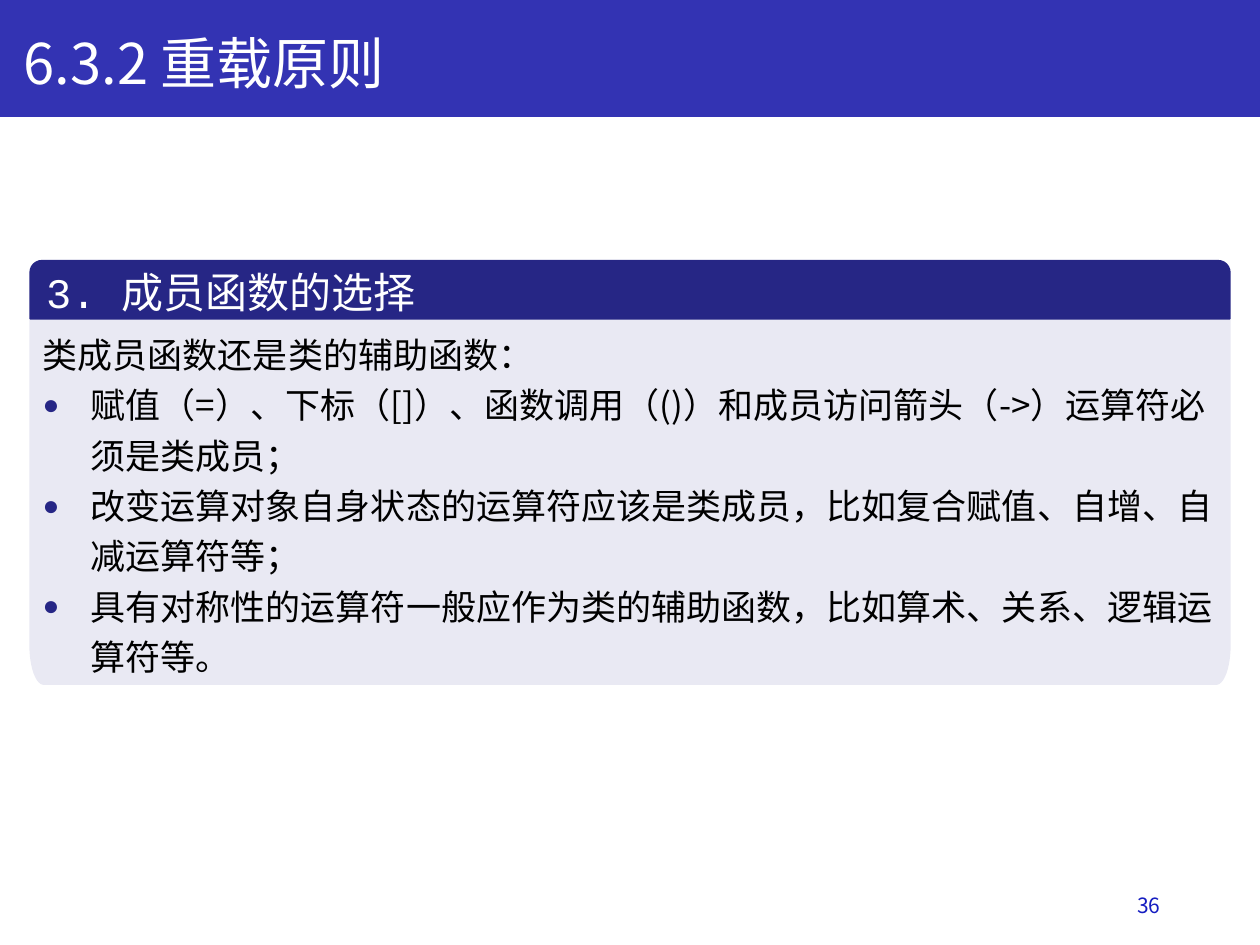
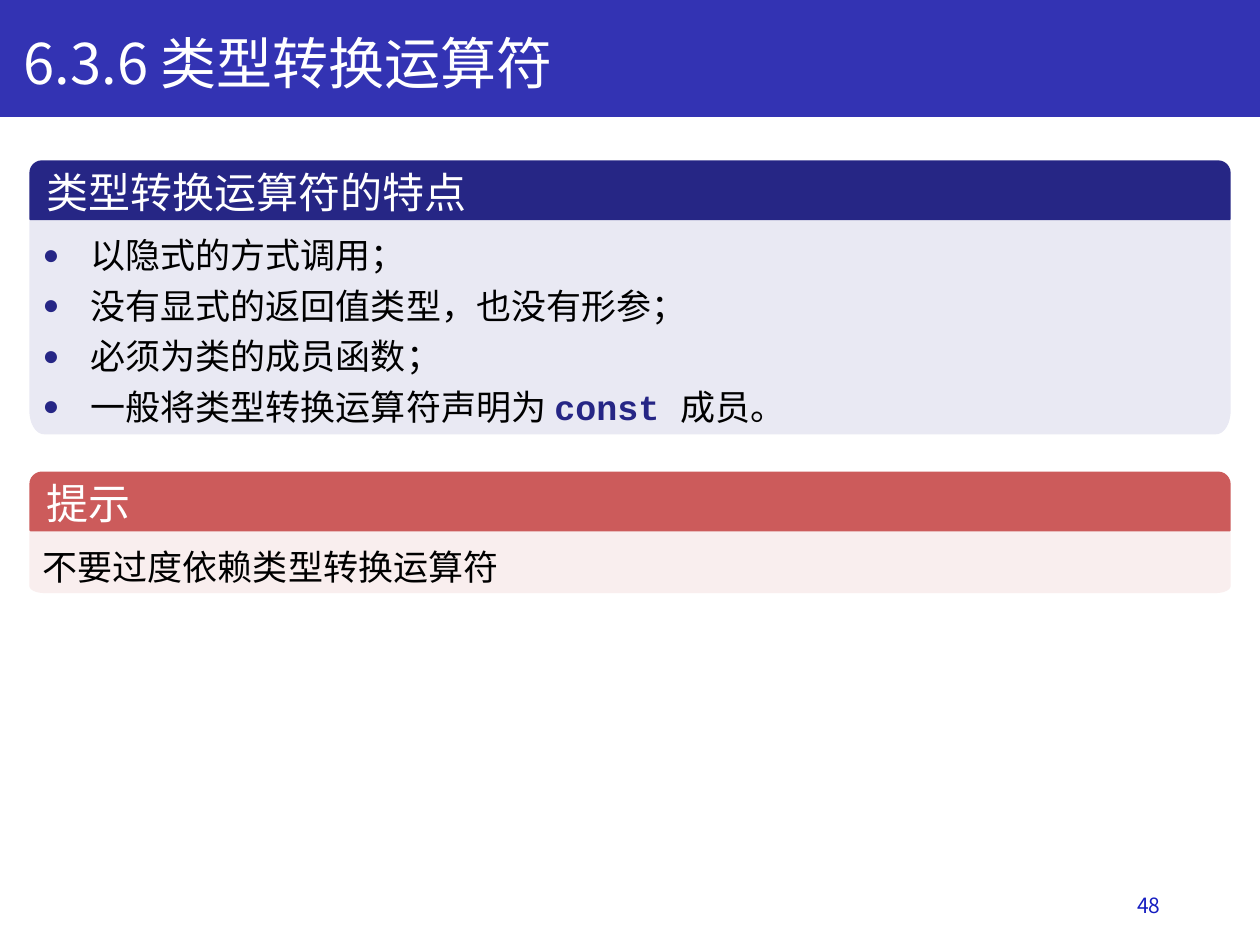
"""Build two lecture slides on operator overloading."""
from math import cos, pi, sin

from lxml import etree
from pptx import Presentation
from pptx.dml.color import RGBColor
from pptx.enum.shapes import MSO_SHAPE
from pptx.enum.text import MSO_ANCHOR, PP_ALIGN
from pptx.oxml.ns import qn
from pptx.util import Inches, Pt

RECT, ROUND = MSO_SHAPE.RECTANGLE, MSO_SHAPE.ROUND_2_SAME_RECTANGLE
TOP, MIDDLE = MSO_ANCHOR.TOP, MSO_ANCHOR.MIDDLE
LEFT, RIGHT = PP_ALIGN.LEFT, PP_ALIGN.RIGHT
SANS, MONO = "Noto Sans CJK SC", "Courier New"
COLORS = {
    "band": "3333B3", "page": "151DC1", "white": "FFFFFF", "black": "000000",
    "navy": "262685", "mist": "E9E9F3", "red": "CC5B5B", "blush": "F9EEEE",
}
STYLES = {
    "title": (32, SANS, "white", False),
    "page": (12, SANS, "page", False),
    "head": (24, MONO, "white", False),
    "body": (20, SANS, "black", False),
    "code": (20, MONO, "navy", True),
}
BLOCKS = {"note": ("navy", "mist"), "tip": ("red", "blush")}

SLIDES = [
    {"title": "6.3.2 重载原则", "page": "36", "blocks": [
        {"kind": "note", "top": 2.07, "height": 2.9, "head": "3. 成员函数的选择",
         "lead": "类成员函数还是类的辅助函数：",
         "items": [
             [("赋值（=）、下标（[]）、函数调用（()）和成员访问箭头（->）运算符必须是类成员；", "body")],
             [("改变运算对象自身状态的运算符应该是类成员，比如复合赋值、自增、自减运算符等；", "body")],
             [("具有对称性的运算符一般应作为类的辅助函数，比如算术、关系、逻辑运算符等。", "body")],
         ]},
    ]},
    {"title": "6.3.6 类型转换运算符", "page": "48", "blocks": [
        {"kind": "note", "top": 1.28, "height": 1.7, "head": "类型转换运算符的特点",
         "items": [
             [("以隐式的方式调用；", "body")],
             [("没有显式的返回值类型，也没有形参；", "body")],
             [("必须为类的成员函数；", "body")],
             [("一般将类型转换运算符声明为 ", "body"), ("const ", "code"), ("成员。", "body")],
         ]},
        {"kind": "tip", "top": 3.75, "height": 0.49, "head": "提示",
         "lead": "不要过度依赖类型转换运算符", "items": []},
    ]},
]

EDGE, WIDE, HEAD = 0.24, 9.52, 0.46
CURVE_X, CURVE_Y, STEPS = 0.11, 0.106, 12


def tint(name):
    return RGBColor.from_string(COLORS[name])


def paint(shape, name):
    shape.shadow.inherit = False
    shape.fill.solid()
    shape.fill.fore_color.rgb = tint(name)
    shape.line.color.rgb = tint(name)
    shape.line.width = Pt(1)


def write(para, text, style):
    size, face, color, bold = STYLES[style]
    run = para.add_run()
    run.text = text
    font = run.font
    font.size, font.name, font.bold = Pt(size), face, bold
    font.color.rgb = tint(color)
    east = etree.SubElement(font._element, qn("a:ea"))
    east.set("typeface", SANS)


def frame(shape, anchor, align=LEFT):
    box = shape.text_frame
    box.word_wrap = True
    box.vertical_anchor = anchor
    box.paragraphs[0].alignment = align
    return box


def label(slide, place, text, style, align=LEFT):
    shape = slide.shapes.add_textbox(*map(Inches, place))
    write(frame(shape, MIDDLE, align).paragraphs[0], text, style)


def bullet(para):
    props = para._p.get_or_add_pPr()
    props.set("marL", str(Inches(0.38)))
    props.set("indent", str(-Inches(0.38)))
    color = etree.SubElement(props, qn("a:buClr"))
    etree.SubElement(color, qn("a:srgbClr")).set("val", COLORS["navy"])
    etree.SubElement(props, qn("a:buSzPct")).set("val", "80000")
    etree.SubElement(props, qn("a:buFont")).set("typeface", "Arial")
    etree.SubElement(props, qn("a:buChar")).set("char", "●")


def panel(shapes, top, height):
    """Draw a square-topped panel with elliptical lower corners."""
    end, base, rise = EDGE + WIDE, top + height, height * CURVE_Y
    turns = [pi / 2 * step / STEPS for step in range(STEPS + 1)]
    right = [(end - CURVE_X * (1 - cos(a)), base - rise * (1 - sin(a))) for a in turns]
    left = [(EDGE + end - x, y) for x, y in reversed(right)]
    spots = [(Inches(x), Inches(y)) for x, y in [(EDGE, top), (end, top)] + right + left]
    pen = shapes.build_freeform(*spots[0])
    pen.add_line_segments(spots[1:], close=True)
    return pen.convert_to_shape()


def add_block(slide, block):
    dark, light = BLOCKS[block["kind"]]
    shapes = slide.shapes.add_group_shape().shapes
    body = panel(shapes, block["top"] + HEAD, block["height"])
    paint(body, light)
    box = frame(body, TOP)
    lead = [[(block["lead"], "body")]] if "lead" in block else []
    for i, runs in enumerate(lead + block["items"]):
        para = box.add_paragraph() if i else box.paragraphs[0]
        if i >= len(lead):
            bullet(para)
        para.alignment = LEFT
        para.line_spacing = 1.2
        for text, style in runs:
            write(para, text, style)
    head = shapes.add_shape(ROUND, *map(Inches, (EDGE, block["top"], WIDE, HEAD)))
    head.adjustments[0] = 0.2
    paint(head, dark)
    write(frame(head, MIDDLE).paragraphs[0], block["head"], "head")


def main():
    deck = Presentation()
    deck.slide_width, deck.slide_height = Inches(10), Inches(7.5)
    for data in SLIDES:
        slide = deck.slides.add_slide(deck.slide_layouts[6])
        band = slide.shapes.add_shape(RECT, 0, 0, Inches(10), Inches(0.92))
        paint(band, "band")
        label(slide, (7.06, 6.98, 2.25, 0.4), data["page"], "page", RIGHT)
        label(slide, (0.09, 0.17, 9.67, 0.64), data["title"], "title")
        for block in data["blocks"]:
            add_block(slide, block)
    deck.save("out.pptx")


if __name__ == "__main__":
    main()
